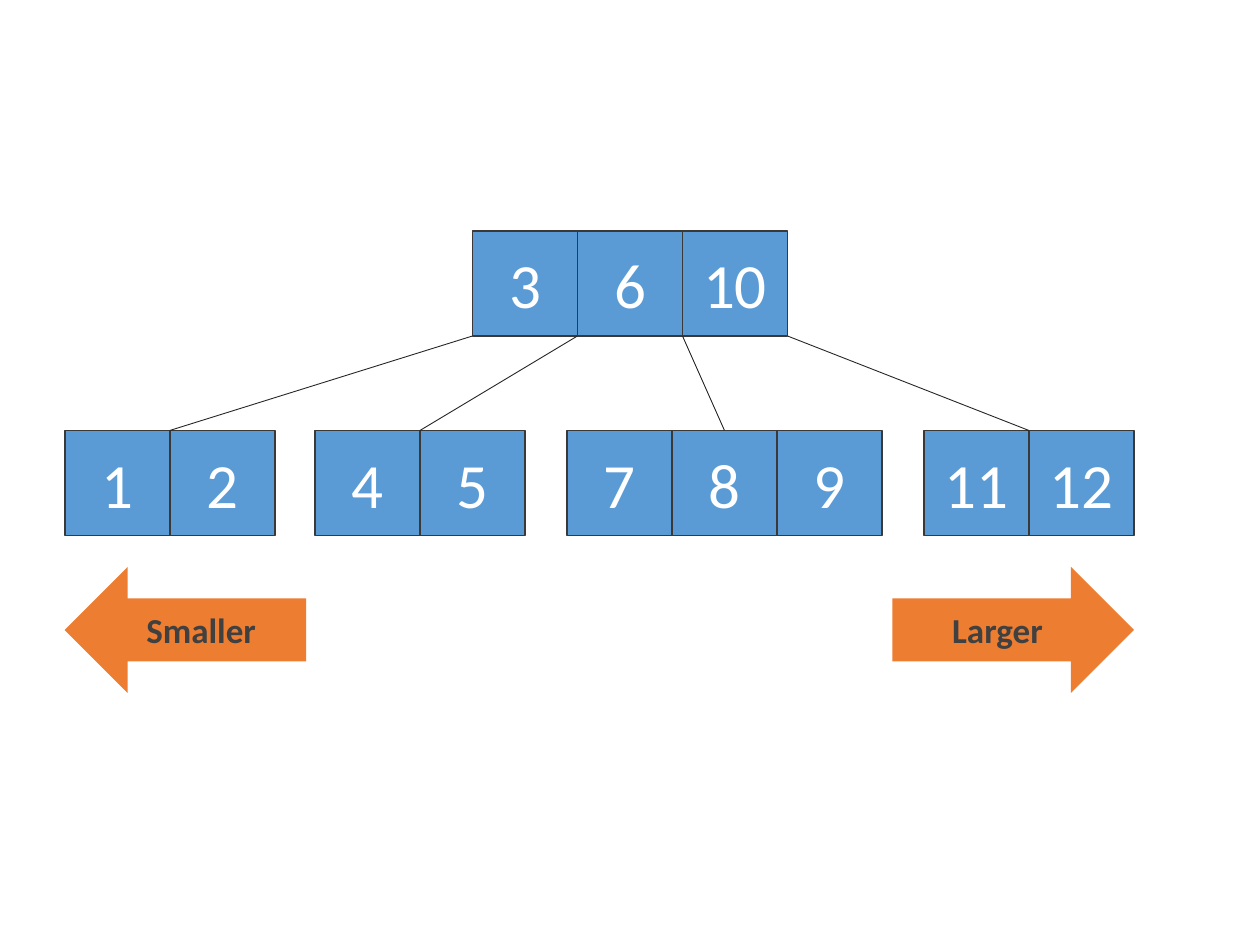
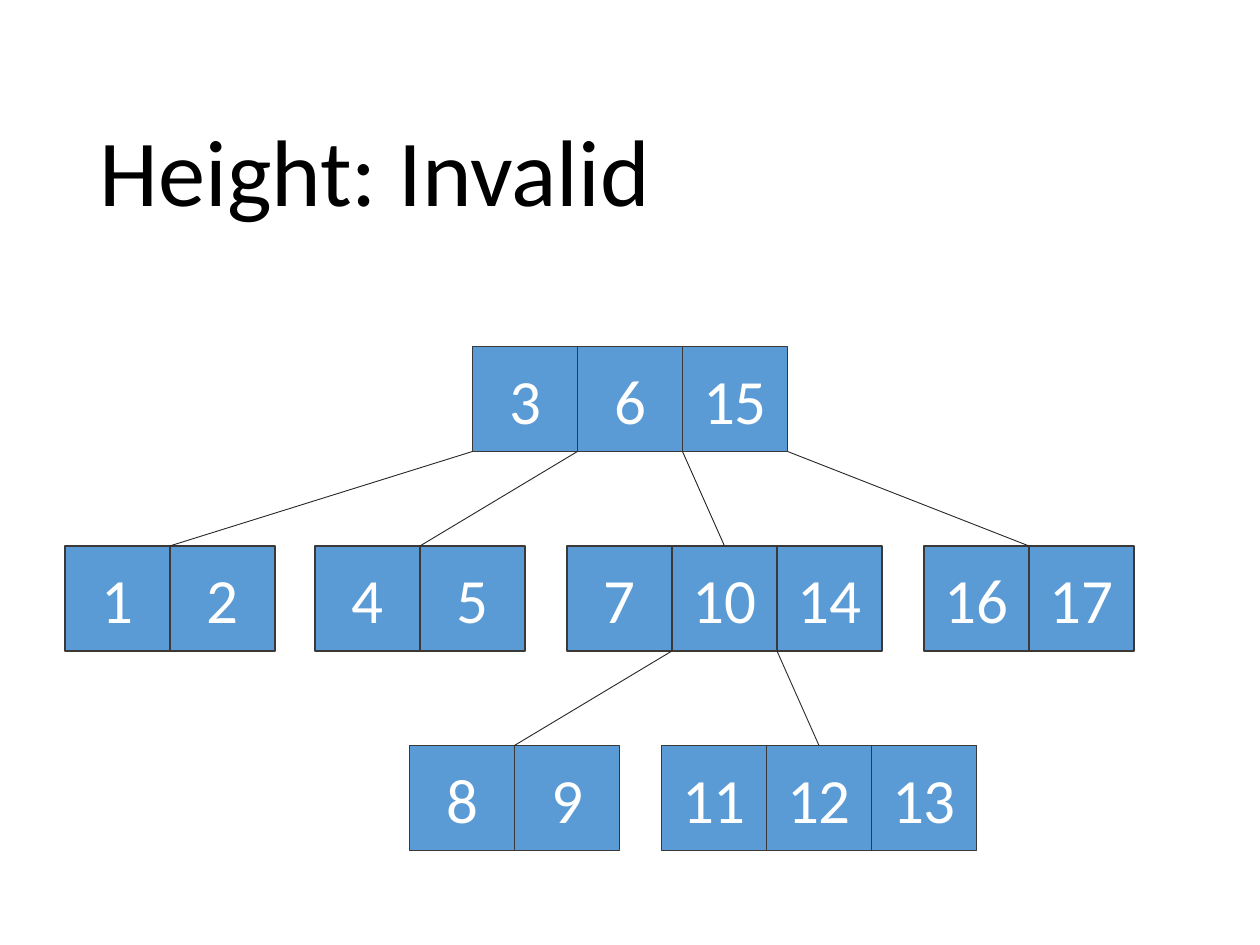
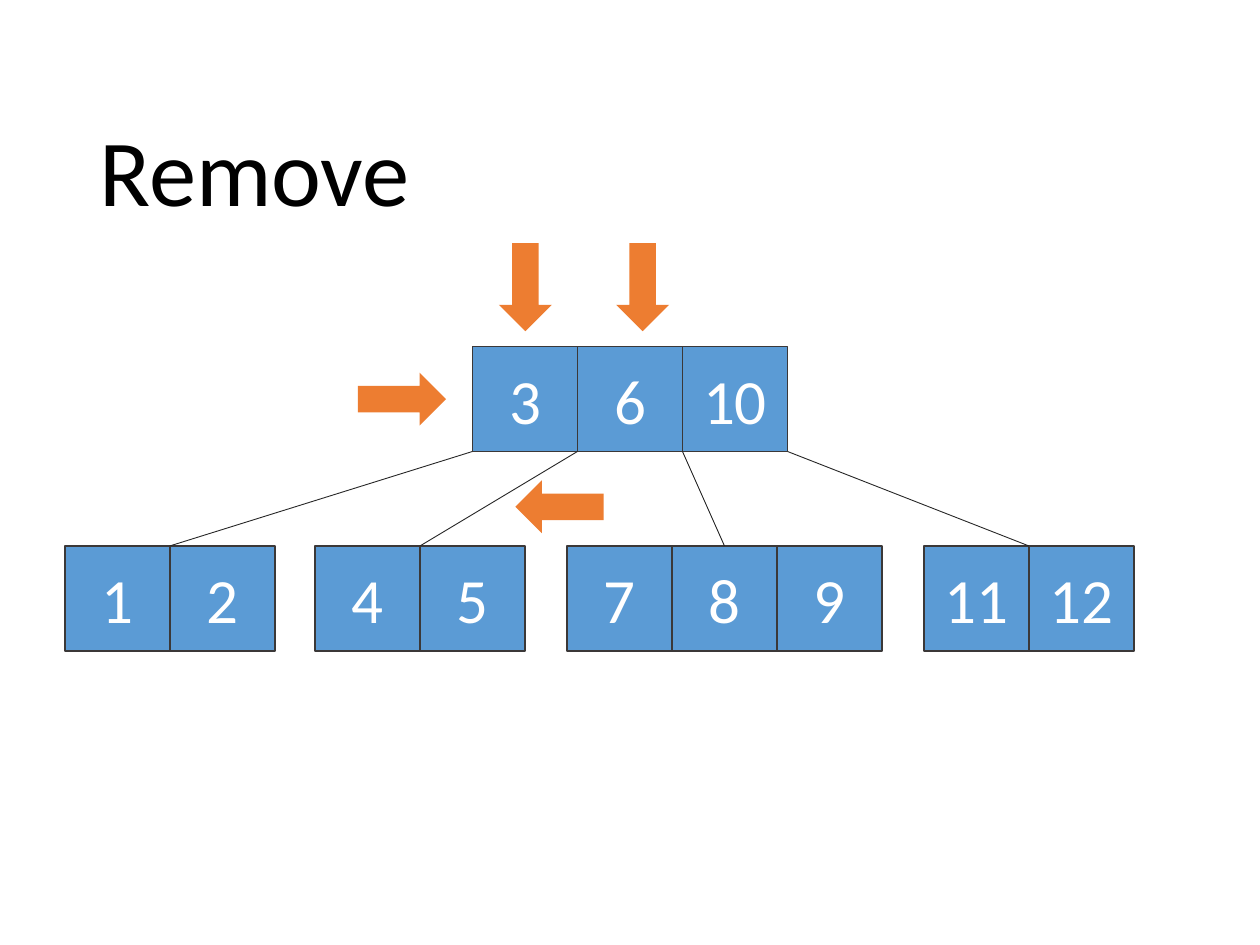
from collections import namedtuple
from dataclasses import dataclass

from pptx import Presentation
from pptx.dml.color import RGBColor
from pptx.enum import shapes, text
from pptx.oxml.ns import qn
from pptx.util import Pt

Box = namedtuple("Box", "x y w h")
# A node's x is relative to the tree box; its children map a key edge to a node
Node = namedtuple("Node", "x keys children", defaults=({},))
SHAPE = shapes.MSO_SHAPE


@dataclass(frozen=True)
class Theme:
    font: str = "Calibri"
    cell_fill: str = "5B9BD5"
    cell_line: str = "3B3838"
    link: str = "262626"
    arrow: str = "ED7D31"
    label: str = "404040"
    white: str = "FFFFFF"
    black: str = "000000"
    title_size: int = 54
    key_size: int = 36
    label_size: int = 20
    cell_width: float = 1
    link_width: float = 0.5


THEME = Theme()
CELL = 60
LEVEL_STEP = 114
ARROW_W, ARROW_H = 50.4, 30.2
TITLE_BOX = Box(49.7, 28.8, 620.6, 104.4)
TREE_X, TREE_W = 37, 611
ROOT_X = 233
LEAF_XS = (0, 143, 287, 491)


# Shared helpers
def set_attrs(obj, values):
    for name, value in values.items():
        setattr(obj, name, value)


def place(sp, box):
    set_attrs(sp, dict(zip(("left", "top", "width", "height"), map(Pt, box))))


def write(sp, words, size, color, frame, para, bold=False):
    tf = sp.text_frame
    set_attrs(tf, frame)
    p = tf.paragraphs[0]
    set_attrs(p, para)
    r = p.add_run()
    r.text = words
    set_attrs(r.font, {"name": THEME.font, "size": Pt(size), "bold": bold})
    r.font.color.rgb = RGBColor.from_string(color)


def add_block(s, kind, box, fill, line=None):
    sp = s.shapes.add_shape(kind, *map(Pt, box))
    sp.shadow.inherit = False
    sp.fill.solid()
    sp.fill.fore_color.rgb = RGBColor.from_string(fill)
    if line:
        sp.line.color.rgb = RGBColor.from_string(line)
        sp.line.width = Pt(THEME.cell_width)
    else:
        sp.line.fill.background()
    return sp


def write_centred(sp, words, size, color, bold=False):
    write(sp, words, size, color,
          {"vertical_anchor": text.MSO_ANCHOR.MIDDLE, "word_wrap": True},
          {"alignment": text.PP_ALIGN.CENTER}, bold)


def add_link(s, start, end):
    cx = s.shapes.add_connector(shapes.MSO_CONNECTOR.STRAIGHT,
                                *map(Pt, (*start, *end)))
    cx.line.color.rgb = RGBColor.from_string(THEME.link)
    cx.line.width = Pt(THEME.link_width)
    sp_pr = cx._element.spPr
    sp_pr.append(sp_pr.makeelement(qn("a:effectLst"), {}))


# Title
def add_title(s, box, words):
    sp = s.shapes.title
    place(sp, box)
    write(sp, words, THEME.title_size, THEME.black,
          {"vertical_anchor": text.MSO_ANCHOR.BOTTOM, "word_wrap": True,
           "auto_size": text.MSO_AUTO_SIZE.NONE},
          {"alignment": text.PP_ALIGN.LEFT, "line_spacing": 0.9})


# Search tree: a row of cells per node, links from key edges to child centres
def add_tree(s, box, node, level=0):
    left, top = box.x + node.x, box.y + level * LEVEL_STEP
    for i, key in enumerate(node.keys):
        cell = add_block(s, SHAPE.RECTANGLE,
                         Box(left + i * CELL, top, CELL, CELL),
                         THEME.cell_fill, THEME.cell_line)
        write_centred(cell, str(key), THEME.key_size, THEME.white)
    for edge, child in node.children.items():
        add_tree(s, box, child, level + 1)
        child_centre = box.x + child.x + len(child.keys) * CELL / 2
        add_link(s, (left + edge * CELL, top + CELL),
                 (child_centre, top + LEVEL_STEP))


def two_level_tree(root_keys, leaf_keys, grandchildren=None):
    """Root and four leaves; grandchildren maps a leaf index to its children."""
    below = grandchildren or {}
    leaves = {i: Node(x, keys, below.get(i, {}))
              for i, (x, keys) in enumerate(zip(LEAF_XS, leaf_keys))}
    return Node(ROOT_X, root_keys, leaves)


# Labelled arrows at the two ends of a strip
def add_order_arrows(s, box):
    width = 138
    for kind, x, words in ((SHAPE.LEFT_ARROW, box.x, "Smaller"),
                           (SHAPE.RIGHT_ARROW, box.x + box.w - width, "Larger")):
        sp = add_block(s, kind, Box(x, box.y, width, box.h), THEME.arrow)
        write_centred(sp, words, THEME.label_size, THEME.label, bold=True)


# Step arrows pointing at parts of the tree
def add_step_arrows(s, box, steps):
    for x, y, angle in steps:
        sp = add_block(s, SHAPE.RIGHT_ARROW,
                       Box(box.x + x, box.y + y, ARROW_W, ARROW_H), THEME.arrow)
        sp.rotation = angle


# Slides
def order_slide(prs, tree):
    s = prs.slides.add_slide(prs.slide_layouts.get_by_name("Blank"))
    add_tree(s, Box(TREE_X, 132, TREE_W, 174), tree)
    add_order_arrows(s, Box(TREE_X, 324, TREE_W, 72))


def titled_tree_slide(prs, words, tree, steps=()):
    s = prs.slides.add_slide(prs.slide_layouts.get_by_name("Title Only"))
    tree_box = Box(TREE_X, 198, TREE_W, 288)
    add_title(s, TITLE_BOX, words)
    add_tree(s, tree_box, tree)
    add_step_arrows(s, tree_box, steps)


def main():
    prs = Presentation()
    set_attrs(prs, {"slide_width": Pt(720), "slide_height": Pt(540)})

    valid = two_level_tree((3, 6, 10), ((1, 2), (4, 5), (7, 8, 9), (11, 12)))
    too_deep = two_level_tree(
        (3, 6, 15), ((1, 2), (4, 5), (7, 10, 14), (16, 17)),
        {2: {1: Node(197, (8, 9)), 2: Node(341, (11, 12, 13))}})

    order_slide(prs, valid)
    titled_tree_slide(prs, "Height: Invalid", too_deep)
    titled_tree_slide(prs, "Remove", valid,
                      ((167.5, 15, 0), (238, -49, 90),
                       (305, -49, 90), (257.5, 76.5, 180)))
    prs.save("out.pptx")


if __name__ == "__main__":
    main()
